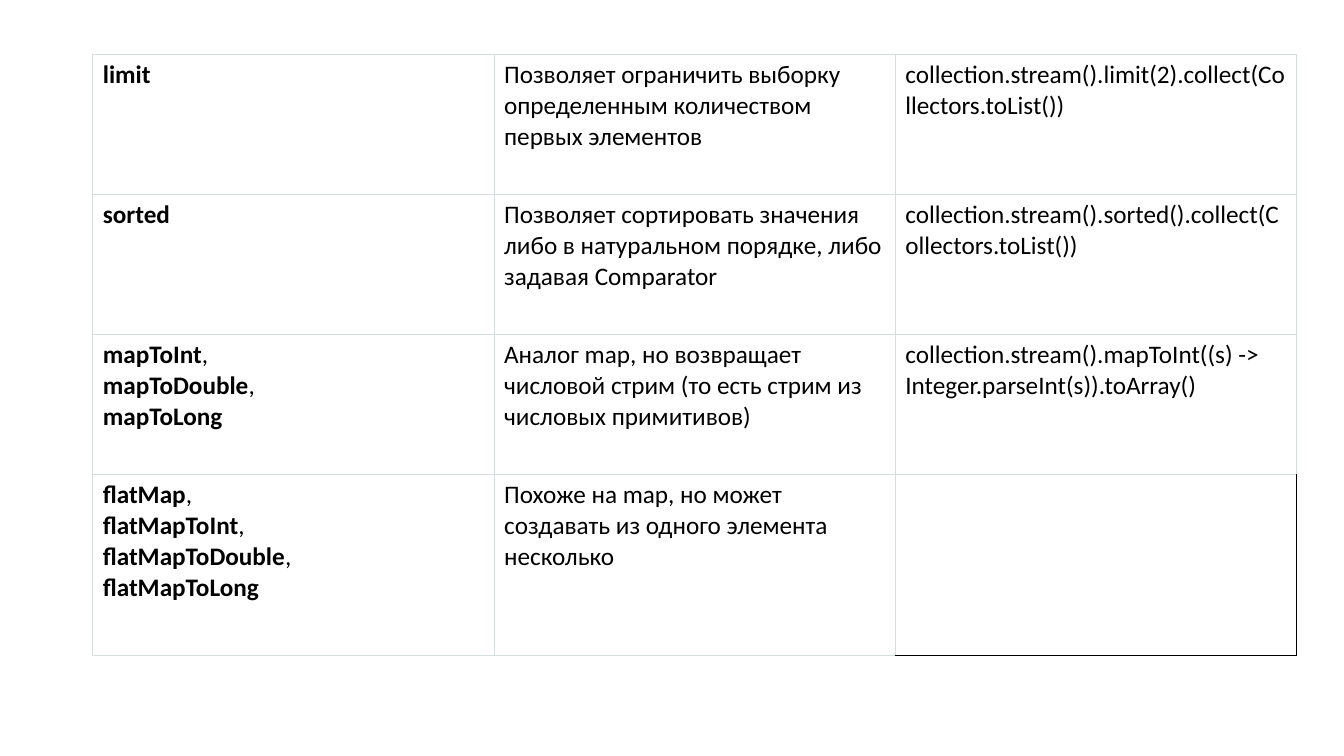
from dataclasses import dataclass

import pptx
import pptx.dml.color
import pptx.oxml
import pptx.oxml.ns
import pptx.util

Inches = pptx.util.Inches


@dataclass(frozen=True)
class Theme:
    font: str = "Calibri"
    size: float = 18
    ink: str = "000000"
    grid: str = "D5DDDF"
    thin: float = 0.6
    edge: float = 1


@dataclass(frozen=True)
class Method:
    names: tuple[str, ...]
    about: str
    sample: str
    height: float = 1.39


THEME = Theme()
LEFT, TOP, WIDTH = 0.92, 0.54, 3.98
INSET = {
    "margin_left": Inches(0.1),
    "margin_right": Inches(0.1),
    "margin_top": Inches(0.05),
    "margin_bottom": Inches(0.07),
}
FLAGS = {"first_row": False, "horz_banding": False}

METHODS = [
    Method(
        ("limit",),
        "Позволяет ограничить выборку определенным количеством первых элементов",
        "collection.stream().limit(2).collect(Collectors.toList())",
    ),
    Method(
        ("sorted",),
        "Позволяет сортировать значения либо в натуральном порядке, либо задавая Comparator",
        "collection.stream().sorted().collect(Collectors.toList())",
    ),
    Method(
        ("mapToInt", "mapToDouble", "mapToLong"),
        "Аналог map, но возвращает числовой стрим (то есть стрим из числовых примитивов)",
        "collection.stream().mapToInt((s) -> Integer.parseInt(s)).toArray()",
    ),
    Method(
        ("flatMap", "flatMapToInt", "flatMapToDouble", "flatMapToLong"),
        "Похоже на map, но может создавать из одного элемента несколько",
        "",
        1.79,
    ),
]


def add_run(para, text: str, bold: bool = False) -> None:
    run = para.add_run()
    run.text = text
    values = {"name": THEME.font, "size": pptx.util.Pt(THEME.size), "bold": bold}
    for key, value in values.items():
        setattr(run.font, key, value)
    run.font.color.rgb = pptx.dml.color.RGBColor.from_string(THEME.ink)


def add_names(para, names: tuple[str, ...]) -> None:
    """Bold names, one a line, parted by plain commas."""
    for pos, name in enumerate(names):
        if pos:
            add_run(para, ",")
            para.add_line_break()
        add_run(para, name, bold=True)


def add_edge(cell, side: str, color: str, width: float) -> None:
    space = pptx.oxml.ns.nsdecls("a")
    line = pptx.oxml.parse_xml(
        f'<a:ln{side} {space} w="{pptx.util.Pt(width)}"><a:solidFill>'
        f'<a:srgbClr val="{color}"/></a:solidFill></a:ln{side}>'
    )
    cell._tc.get_or_add_tcPr().append(line)


def style_cell(cell, dark: str = "") -> None:
    """Set insets, borders (the dark sides in ink) and no fill."""
    for key, value in INSET.items():
        setattr(cell, key, value)
    for side in "LRTB":
        if side in dark:
            add_edge(cell, side, THEME.ink, THEME.edge)
        else:
            add_edge(cell, side, THEME.grid, THEME.thin)
    cell.fill.background()


def add_grid(slide, methods: list[Method]) -> None:
    total = sum(item.height for item in methods)
    frame = slide.shapes.add_table(
        len(methods), 3, Inches(LEFT), Inches(TOP), Inches(3 * WIDTH), Inches(total)
    )
    table = frame.table
    for key, value in FLAGS.items():
        setattr(table, key, value)
    for col in table.columns:
        col.width = Inches(WIDTH)

    for row, item in zip(table.rows, methods):
        row.height = Inches(item.height)
        name, about, sample = row.cells
        add_names(name.text_frame.paragraphs[0], item.names)
        add_run(about.text_frame.paragraphs[0], item.about)
        if item.sample:
            add_run(sample.text_frame.paragraphs[0], item.sample)
        style_cell(name)
        style_cell(about)
        # A cell with no sample keeps dark outer edges
        style_cell(sample, "" if item.sample else "RB")


def main() -> None:
    # Slide without a title
    deck = pptx.Presentation()
    deck.slide_width, deck.slide_height = Inches(13.33), Inches(7.5)
    slide = deck.slides.add_slide(deck.slide_layouts.get_by_name("Blank"))

    # Table of stream methods
    add_grid(slide, METHODS)
    deck.save("out.pptx")


if __name__ == "__main__":
    main()
